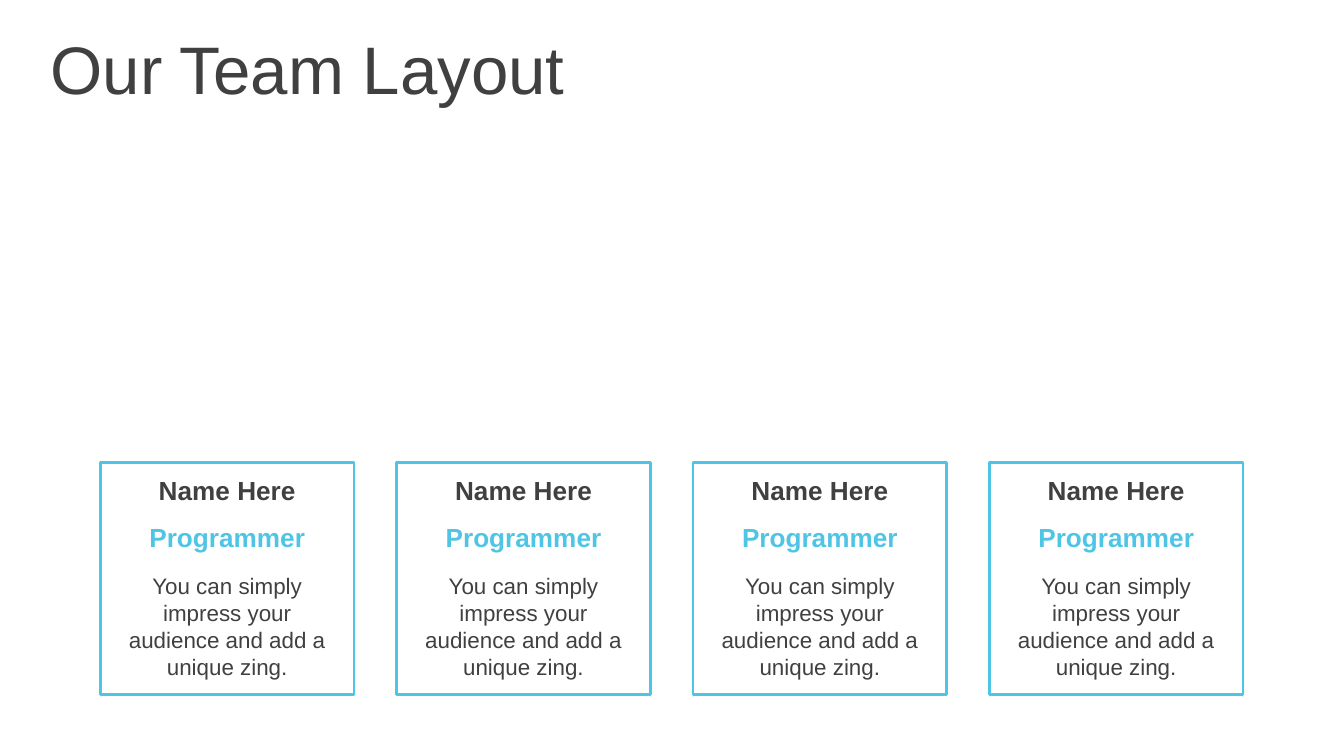
from pptx import Presentation
from pptx.dml.color import RGBColor
from pptx.enum.shapes import MSO_SHAPE as Shape
from pptx.enum.text import MSO_ANCHOR as Anchor, PP_ALIGN as Align
from pptx.util import Pt

COLORS = {"text": "404040", "accent": "4FC5E5"}


class Painter:
    font = "Arial"

    def __init__(self, page):
        self.page = page

    def color(self, name):
        return RGBColor.from_string(COLORS[name])

    def text(self, words, left, top, width, height, size,
             color="text", bold=False, align=Align.CENTER):
        box = self.page.shapes.add_textbox(Pt(left), Pt(top), Pt(width), Pt(height))
        frame = box.text_frame
        frame.word_wrap = True
        frame.vertical_anchor = Anchor.MIDDLE
        para = frame.paragraphs[0]
        para.alignment = align
        span = para.add_run()
        span.text = words
        span.font.name = self.font
        span.font.size = Pt(size)
        span.font.bold = bold
        span.font.color.rgb = self.color(color)

    def outline(self, left, top, width, height):
        box = self.page.shapes.add_shape(
            Shape.RECTANGLE, Pt(left), Pt(top), Pt(width), Pt(height))
        box.shadow.inherit = False
        box.fill.background()
        box.line.color.rgb = self.color("accent")
        box.line.width = Pt(1.5)


def main():
    deck = Presentation()
    deck.slide_width, deck.slide_height = Pt(720), Pt(405)
    painter = Painter(deck.slides.add_slide(deck.slide_layouts[6]))
    painter.text("Our Team Layout", 20, 13.5, 700, 45.5, 36, align=Align.LEFT)

    members = [("Name Here", "Programmer")] * 4
    message = "You can simply impress your audience and add a unique zing."
    card_left, card_top, card_width, card_height = 53.75, 247.75, 136, 124.5
    pitch, inset = 158.75, 5.75
    text_width = card_width - 2 * inset

    for index, (name, role) in enumerate(members):
        left = card_left + index * pitch
        text_left = left + inset
        painter.text(name, text_left, 253, text_width, 19.5, 14, bold=True)
        painter.text(role, text_left, 278, text_width, 19.5, 14, "accent", bold=True)
        painter.text(message, text_left, 302.5, text_width, 65.5, 12)
        painter.outline(left, card_top, card_width, card_height)

    deck.save("out.pptx")


if __name__ == "__main__":
    main()
